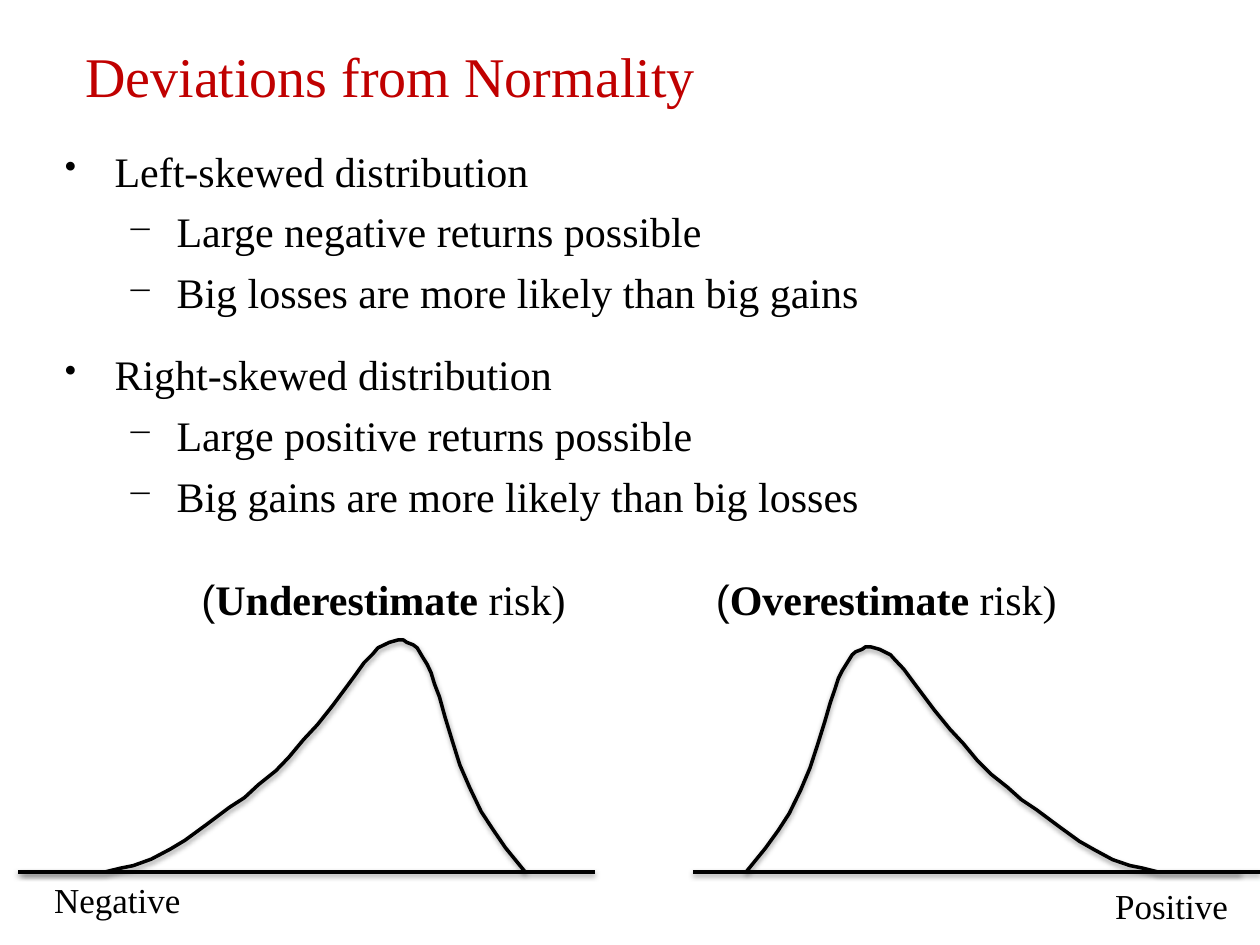
from lxml.etree import SubElement
from pptx import Presentation
from pptx.dml.color import RGBColor
from pptx.enum.shapes import MSO_CONNECTOR
from pptx.enum.text import MSO_ANCHOR
from pptx.oxml.ns import qn
from pptx.util import Cm, Pt

BLACK = RGBColor(0x00, 0x00, 0x00)
RED = RGBColor(0xC0, 0x00, 0x00)
SERIF = "Times New Roman"

BASELINE = 17.58

# Skewed curve in 1/100 cm: distance from the steep foot, height above the axis
CURVE = [
    (0, 0), (40, 49), (66, 87), (89, 122), (112, 170), (132, 216),
    (147, 264), (162, 313), (173, 353), (183, 379), (190, 402), (198, 419),
    (208, 435), (218, 452), (226, 458), (239, 463), (246, 468), (256, 468),
    (274, 463), (297, 452), (307, 440), (325, 422), (345, 394), (388, 336),
    (419, 297), (447, 267), (477, 231), (503, 204), (538, 176), (566, 150),
    (597, 130), (645, 94), (686, 64), (716, 46), (754, 26), (790, 13),
    (815, 8), (848, 0), (1016, 0),
]

BULLETS = [
    ("Left-skewed distribution", 0),
    ("Large negative returns possible", 1),
    ("Big losses are more likely than big gains", 1),
    ("Right-skewed distribution", 0),
    ("Large positive returns possible", 1),
    ("Big gains are more likely than big losses", 1),
]
# Per level: bullet, left margin, space before
LEVELS = [("•", Cm(1), Pt(18)), ("−", Cm(2.25), Pt(6))]


def style_font(font, size, color=BLACK, name=SERIF):
    font.name = name
    font.size = Pt(size)
    font.color.rgb = color


def add_box(s, left, top, width, height, wrap=False):
    tb = s.shapes.add_textbox(Cm(left), Cm(top), Cm(width), Cm(height))
    tf = tb.text_frame
    tf.word_wrap = wrap
    return tf


def add_label(s, text, left, top, width, height, size=20, color=BLACK):
    tf = add_box(s, left, top, width, height)
    tf.text = text
    style_font(tf.paragraphs[0].runs[0].font, size, color)
    return tf


def add_bullet_char(p, char, margin):
    pPr = p._p.get_or_add_pPr()
    pPr.set("marL", str(margin))
    pPr.set("indent", str(-Cm(1)))
    SubElement(pPr, qn("a:buSzPct"), val="80000")
    SubElement(pPr, qn("a:buChar"), char=char)


def add_bullets(s):
    tf = add_box(s, 1.06, 2.8, 23.3, 8.05, wrap=True)
    for i, (text, level) in enumerate(BULLETS):
        p = tf.add_paragraph() if i else tf.paragraphs[0]
        p.text = text
        p.level = level
        char, margin, gap = LEVELS[level]
        add_bullet_char(p, char, margin)
        if i:
            p.space_before = gap
        style_font(p.runs[0].font, 24)


def add_risk_label(s, word, left, width):
    p = add_box(s, left, 11.43, width, 1.3).paragraphs[0]
    for text, name, bold in [("(", "Arial", False), (word, SERIF, True),
                             (" risk)", SERIF, False)]:
        r = p.add_run()
        r.text = text
        style_font(r.font, 24, name=name)
        r.font.bold = bold


def style_line(shape):
    """Black 2 pt line with a soft shadow below it."""
    shape.line.color.rgb = BLACK
    shape.line.width = Pt(2)
    effects = SubElement(shape._element.spPr, qn("a:effectLst"))
    shadow = SubElement(effects, qn("a:outerShdw"), blurRad=str(Pt(3.1)),
                        dist=str(Pt(1.6)), dir="5400000", rotWithShape="0")
    color = SubElement(shadow, qn("a:srgbClr"), val=str(BLACK))
    SubElement(color, qn("a:alpha"), val="38000")


def add_axis(s, start, end):
    line = s.shapes.add_connector(MSO_CONNECTOR.STRAIGHT, Cm(start),
                                  Cm(BASELINE), Cm(end), Cm(BASELINE))
    style_line(line)


def add_curve(s, foot, x_scale, y_scale):
    """Draw the curve from its steep foot; a negative x_scale runs left."""
    points = [(round(foot * 100 + x * x_scale),
               round(BASELINE * 100 - y * y_scale)) for x, y in CURVE]
    fb = s.shapes.build_freeform(*points[0], scale=Cm(0.01))
    fb.add_line_segments(points[1:], close=False)
    curve = fb.convert_to_shape()
    curve.fill.background()
    style_line(curve)


def main():
    prs = Presentation()
    prs.slide_width, prs.slide_height = Cm(25.4), Cm(19.05)
    s = prs.slides.add_slide(prs.slide_layouts[6])

    # Title and bullets
    tf = add_label(s, "Deviations from Normality", 1.47, 0.84, 23.06, 1.47,
                   size=32, color=RED)
    tf.word_wrap = True
    tf.vertical_anchor = MSO_ANCHOR.BOTTOM
    add_bullets(s)

    # Left-skewed distribution
    add_axis(s, 11.99, 0.36)
    add_curve(s, 10.59, -1, 1)
    add_risk_label(s, "Underestimate", 3.81, 7.92)
    add_label(s, "Negative", 0.84, 17.58, 3.07, 1.12)

    # Right-skewed distribution
    add_axis(s, 13.97, 25.4)
    add_curve(s, 15.04, 0.98, 0.97)
    add_risk_label(s, "Overestimate", 14.18, 7.44)
    add_label(s, "Positive", 22.23, 17.7, 2.79, 1.12)

    prs.save("out.pptx")


if __name__ == "__main__":
    main()
